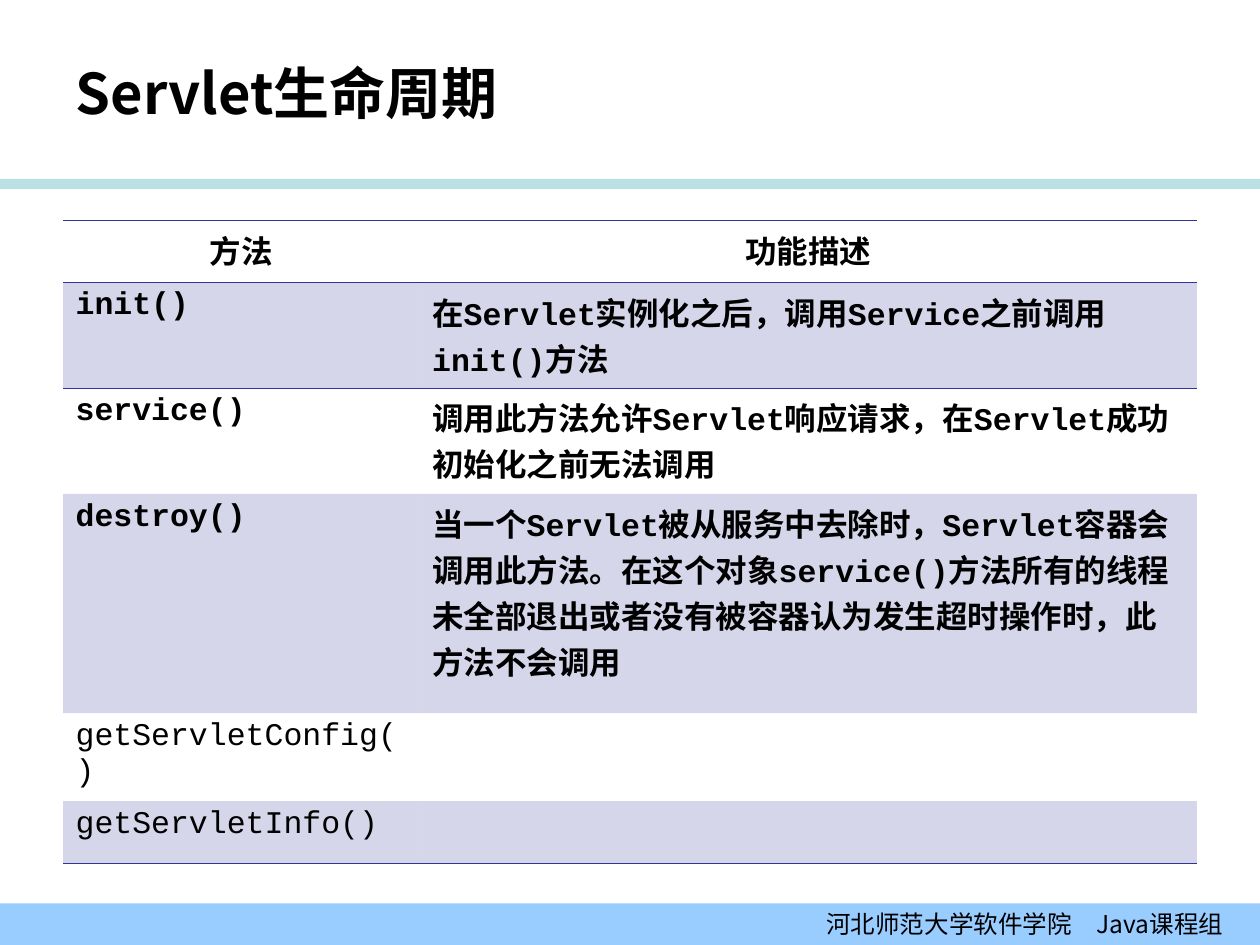
from dataclasses import dataclass

from lxml.etree import SubElement
from pptx import Presentation
from pptx.dml.color import RGBColor
from pptx.enum.shapes import MSO_SHAPE as Shape
from pptx.enum.text import MSO_ANCHOR as Anchor, MSO_AUTO_SIZE as AutoSize, PP_ALIGN as Align
from pptx.oxml.ns import qn
from pptx.util import Inches, Pt

BLACK = RGBColor(0x00, 0x00, 0x00)
TEAL = RGBColor(0xBB, 0xE0, 0xE3)
SKY = RGBColor(0x99, 0xCC, 0xFF)
INDIGO = RGBColor(0x33, 0x33, 0x99)
SANS = "Noto Sans CJK SC"
MONO = "Courier New"
PLAIN_TABLE_STYLE = "{2D5ABB26-0587-4C30-8999-92F81FD0307C}"

PAGE_WIDTH, PAGE_HEIGHT = Inches(10), Inches(7.5)
MARGIN = Inches(0.5)
COLUMN_WIDTHS = (2.83, 6.17)


@dataclass(frozen=True)
class MethodRow:
    method: str
    description: str
    height: float
    bold: bool = True
    align: Align = Align.LEFT
    shaded: bool = False
    edges: tuple[str, ...] = ()


ROWS = (
    MethodRow("方法", "功能描述", 0.49, align=Align.CENTER, edges=("a:lnT", "a:lnB")),
    MethodRow("init()", "在Servlet实例化之后，调用Service之前调用init()方法", 0.84,
              shaded=True, edges=("a:lnT",)),
    MethodRow("service()", "调用此方法允许Servlet响应请求，在Servlet成功初始化之前无法调用", 0.84),
    MethodRow("destroy()",
              "当一个Servlet被从服务中去除时，Servlet容器会调用此方法。"
              "在这个对象service()方法所有的线程未全部退出或者没有被容器认为发生超时操作时，"
              "此方法不会调用", 1.74, shaded=True),
    MethodRow("getServletConfig()", "", 0.7, bold=False),
    MethodRow("getServletInfo()", "", 0.49, bold=False, shaded=True, edges=("a:lnB",)),
)


def set_font(para, latin: str, size: float, bold: bool = False) -> None:
    """Format a paragraph, with the sans face for its Chinese characters."""
    font = para.font
    font.name, font.size, font.bold = latin, Pt(size), bold
    font.color.rgb = BLACK
    properties = para._p.pPr.find(qn("a:defRPr"))
    SubElement(properties, qn("a:ea"), typeface=SANS)


def add_bar(page, top: float, height: float, color: RGBColor):
    bar = page.shapes.add_shape(Shape.RECTANGLE, 0, Inches(top), PAGE_WIDTH, Inches(height))
    bar.shadow.inherit = False
    bar.fill.solid()
    bar.fill.fore_color.rgb = color
    bar.line.fill.background()
    return bar


def add_footer(page) -> None:
    frame = add_bar(page, 7.17, 0.33, SKY).text_frame
    frame.vertical_anchor = Anchor.MIDDLE
    frame.margin_right = Inches(0.29)
    para = frame.paragraphs[0]
    para.text = "河北师范大学软件学院\u3000Java课程组".replace("\u3000", "　")
    para.alignment = Align.RIGHT
    set_font(para, SANS, 14)


def format_title(page) -> None:
    title = page.shapes.title
    title.left, title.top = MARGIN, Inches(0.3)
    title.width, title.height = Inches(8), Inches(0.87)
    frame = title.text_frame
    frame.auto_size = AutoSize.NONE
    frame.vertical_anchor = Anchor.MIDDLE
    para = frame.paragraphs[0]
    para.text = "Servlet生命周期"
    para.alignment = Align.LEFT
    set_font(para, SANS, 32, bold=True)


def style_cell(cell, edges: tuple[str, ...], shaded: bool) -> None:
    """Rule the given edges, then fill the cell: the schema wants lines first."""
    properties = cell._tc.get_or_add_tcPr()
    for edge in edges:
        line = SubElement(properties, qn(edge), w=str(Pt(0.45)))
        fill = SubElement(line, qn("a:solidFill"))
        SubElement(fill, qn("a:srgbClr"), val=str(INDIGO))
    if shaded:
        cell.fill.solid()
        cell.fill.fore_color.rgb = INDIGO
        color = properties.find(qn("a:solidFill")).find(qn("a:srgbClr"))
        SubElement(color, qn("a:alpha"), val="20000")
    else:
        cell.fill.background()


def add_method_table(page) -> None:
    height = Inches(sum(row.height for row in ROWS))
    frame = page.shapes.add_table(len(ROWS), len(COLUMN_WIDTHS), MARGIN, Inches(1.75),
                                  PAGE_WIDTH - 2 * MARGIN, height)
    table = frame.table
    table.first_row = table.horz_banding = False
    table._tbl.tblPr.find(qn("a:tableStyleId")).text = PLAIN_TABLE_STYLE
    for column, width in zip(table.columns, COLUMN_WIDTHS):
        column.width = Inches(width)
    for table_row, row in zip(table.rows, ROWS):
        table_row.height = Inches(row.height)
        for cell, text in zip(table_row.cells, (row.method, row.description)):
            style_cell(cell, row.edges, row.shaded)
            para = cell.text_frame.paragraphs[0]
            para.text = text
            para.alignment = row.align
            set_font(para, MONO, 18, row.bold)


def main() -> None:
    deck = Presentation()
    deck.slide_width, deck.slide_height = PAGE_WIDTH, PAGE_HEIGHT
    page = deck.slides.add_slide(deck.slide_layouts[5])
    add_bar(page, 1.42, 0.08, TEAL)
    add_footer(page)
    format_title(page)
    add_method_table(page)
    deck.save("out.pptx")


if __name__ == "__main__":
    main()
